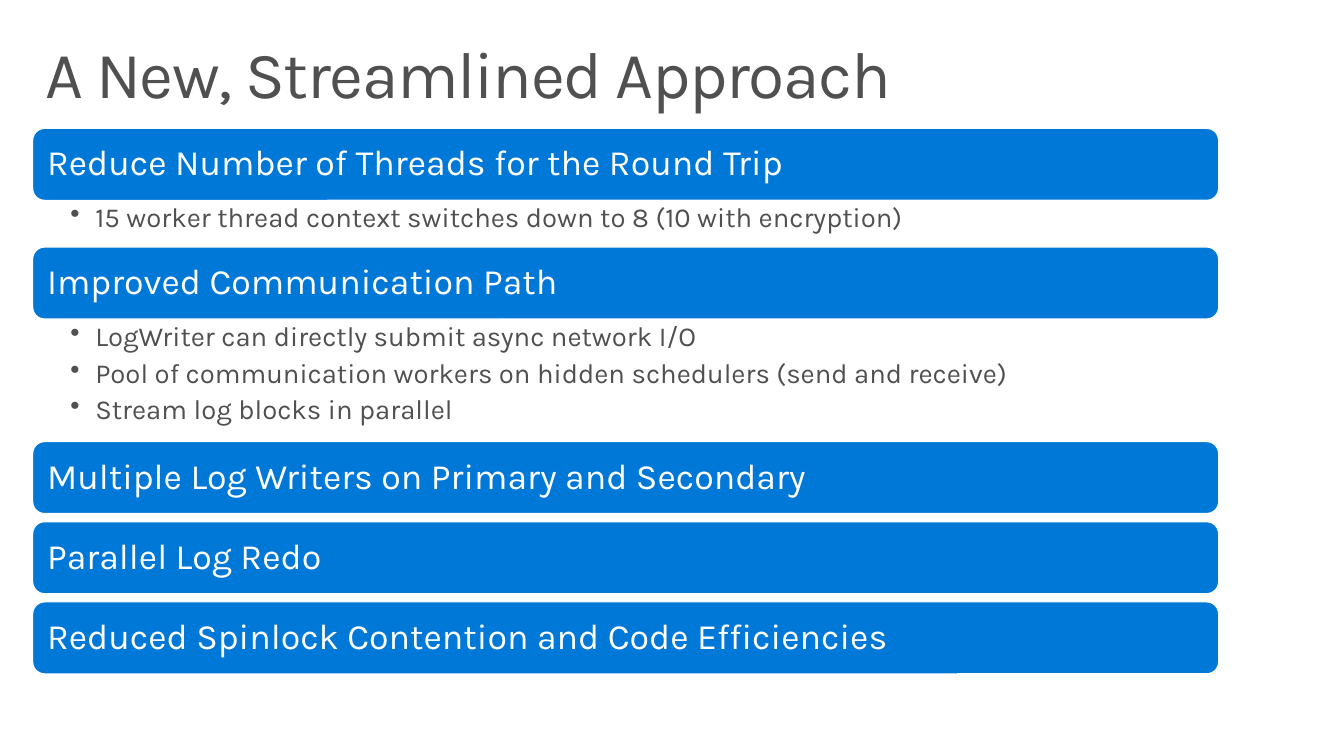
from dataclasses import dataclass

from lxml import etree
from pptx import Presentation
from pptx.dml.color import RGBColor
from pptx.enum.shapes import MSO_SHAPE
from pptx.enum.text import MSO_ANCHOR, PP_ALIGN
from pptx.oxml.ns import qn
from pptx.util import Cm, Pt

ROUNDED = MSO_SHAPE.ROUNDED_RECTANGLE
MIDDLE = MSO_ANCHOR.MIDDLE
TOP = MSO_ANCHOR.TOP
LEFT = PP_ALIGN.LEFT


@dataclass(frozen=True)
class Theme:
    font: str = "Karla"
    blue: RGBColor = RGBColor(0x00, 0x78, 0xD7)
    white: RGBColor = RGBColor(0xFF, 0xFF, 0xFF)
    gray: RGBColor = RGBColor(0x50, 0x50, 0x50)
    title_size: Pt = Pt(48)
    heading_size: Pt = Pt(26)
    bullet_size: Pt = Pt(20)


theme = Theme()


def write(sp, lines, size, color, anchor, insets):
    tf = sp.text_frame
    tf.word_wrap = True
    tf.vertical_anchor = anchor
    tf.margin_left, tf.margin_top, tf.margin_right, tf.margin_bottom = map(Cm, insets)
    tf.text = "\n".join(lines)
    for p in tf.paragraphs:
        p.alignment = LEFT
        p.line_spacing = 0.9
        font = p.runs[0].font
        font.name = theme.font
        font.size = size
        font.color.rgb = color
    return tf


def add_bullet(p):
    p.space_after = Pt(5)
    pPr = p._p.get_or_add_pPr()
    pPr.set("marL", str(Cm(0.64)))
    pPr.set("indent", str(-Cm(0.64)))
    etree.SubElement(pPr, qn("a:buChar")).set("char", "•")


sections = [
    ("Reduce Number of Threads for the Round Trip", 1.2,
     ["15 worker thread context switches down to 8 (10 with encryption)"]),
    ("Improved Communication Path", 3.15,
     ["LogWriter can directly submit async network I/O",
      "Pool of communication workers on hidden schedulers (send and receive)",
      "Stream log blocks in parallel"]),
    ("Multiple Log Writers on Primary and Secondary", 0.21, []),
    ("Parallel Log Redo", 0.21, []),
    ("Reduced Spinlock Contention and Code Efficiencies", 0.21, []),
]

prs = Presentation()
prs.slide_width = Cm(34.54)
prs.slide_height = Cm(19.43)
s = prs.slides.add_slide(prs.slide_layouts[6])

title = s.shapes.add_textbox(Cm(0.76), Cm(0.81), Cm(33.02), Cm(2.54))
tf = write(title, ["A New, Streamlined Approach"], theme.title_size, theme.gray,
           TOP, (0.41, 0.25, 0.41, 0.25))
tf.paragraphs[0].runs[0].font._element.set("spc", "-100")

left, width, bar_height = 0.84, 30.48, 1.85
top = 3.3
for heading, space_below, bullets in sections:
    bar = s.shapes.add_shape(ROUNDED, Cm(left), Cm(top), Cm(width), Cm(bar_height))
    bar.shadow.inherit = False
    bar.fill.solid()
    bar.fill.fore_color.rgb = theme.blue
    bar.line.color.rgb = theme.white
    bar.line.width = Pt(0.85)
    write(bar, [heading], theme.heading_size, theme.white, MIDDLE, (0.28, 0.28, 0.28, 0.28))
    top += bar_height
    if bullets:
        details = s.shapes.add_textbox(Cm(left), Cm(top), Cm(width), Cm(space_below))
        tf = write(details, bullets, theme.bullet_size, theme.gray, TOP, (0.97, 0.1, 0.51, 0.1))
        for p in tf.paragraphs:
            add_bullet(p)
    top += space_below

prs.save("out.pptx")
